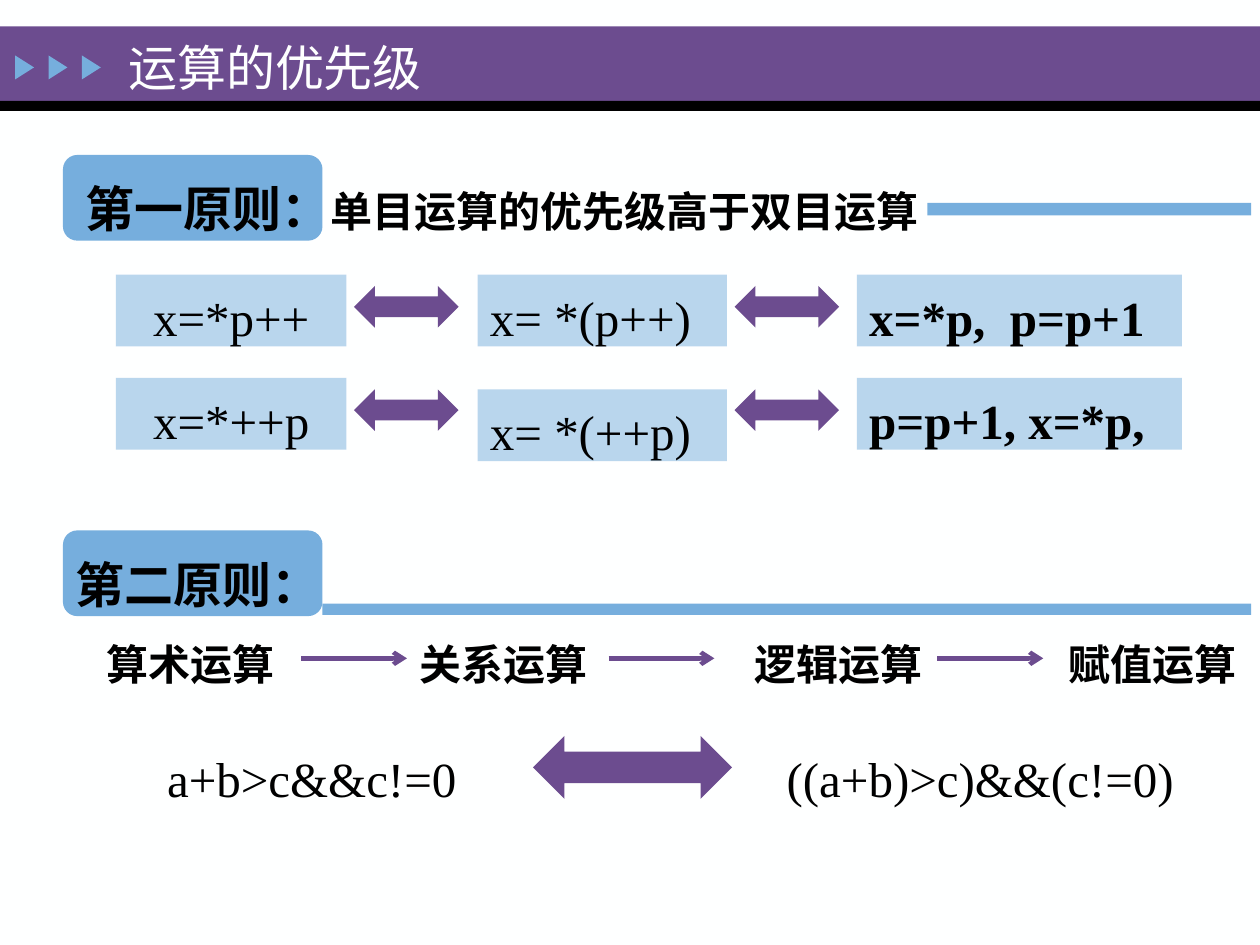
from lxml.etree import SubElement
from pptx import Presentation
from pptx.dml.color import RGBColor
from pptx.enum.lang import MSO_LANGUAGE_ID as LANG
from pptx.enum.shapes import MSO_CONNECTOR as LINE, MSO_SHAPE as KIND
from pptx.enum.text import MSO_ANCHOR as ANCHOR, PP_ALIGN as ALIGN
from pptx.oxml.ns import qn
from pptx.util import Inches, Pt

# The slide is a grid of 100 columns by 75 rows of square cells.
COLS, ROWS = 100, 75
CELL = Inches(0.1)
PURPLE, BLUE, BLACK, WHITE = "6C4C8F", "76AEDD", "000000", "FEFFFF"


def color(code):
    return RGBColor.from_string(code)


def span(*cells):
    return [round(n * CELL) for n in cells]


def shape(slide, kind, box, fill, alpha=None):
    item = slide.shapes.add_shape(kind, *span(*box))
    item.shadow.inherit = False
    item.line.fill.background()
    item.fill.solid()
    item.fill.fore_color.rgb = color(fill)
    if alpha:
        tint = item.fill._xPr.find(qn("a:solidFill"))[0]
        SubElement(tint, qn("a:alpha"), val=str(alpha * 1000))
    return item


def write(item, *runs, size=28, bold=False, ink=BLACK, align=ALIGN.LEFT,
          anchor=ANCHOR.TOP, wrap=True, top=0.1):
    """Fill a shape with one paragraph; a run is a text or (text, size)."""
    frame = item.text_frame
    frame.word_wrap = wrap
    frame.vertical_anchor = anchor
    frame.margin_left = frame.margin_right = Inches(0.1)
    frame.margin_top, frame.margin_bottom = Inches(top), 0
    para = frame.paragraphs[0]
    para.alignment = align
    for part in runs:
        text, points = (part, size) if isinstance(part, str) else part
        run = para.add_run()
        run.text = text
        font = run.font
        font.name, font.size, font.bold = "Times New Roman", Pt(points), bold
        font.color.rgb = color(ink)
        font.language_id = LANG.SIMPLIFIED_CHINESE
    return item


def label(slide, box, *runs, **style):
    return write(slide.shapes.add_textbox(*span(*box)), *runs, **style)


def arrow(slide, start, end, y):
    link = slide.shapes.add_connector(LINE.STRAIGHT, *span(start, y, end, y))
    link.line.color.rgb = color(PURPLE)
    link.line.width = Pt(2.5)
    SubElement(link.line._get_or_add_ln(), qn("a:tailEnd"), type="arrow")
    SubElement(link._element.spPr, qn("a:effectLst"))
    return link


def banner(slide, x, y, w, h, title):
    shape(slide, KIND.RECTANGLE, (x, y, w, h), PURPLE)
    shape(slide, KIND.RECTANGLE, (x, y + h, w, 0.8), BLACK)
    for i in range(3):
        mark = shape(slide, KIND.ISOSCELES_TRIANGLE,
                     (x + 1 + 2.65 * i, y + 2.5, 1.9, 1.5), BLUE)
        mark.rotation = 90
    label(slide, (x + 9.2, y + 0.7, 70, 5), title, ink=WHITE,
          anchor=ANCHOR.MIDDLE, top=0)


def heading(slide, x, y, w, h, *runs, shift=0, rule):
    """Draw a tab with its text; rule is the bar's left, top and height."""
    shape(slide, KIND.ROUNDED_RECTANGLE, (x, y, 20.6, h), BLUE)
    label(slide, (x + shift, y + 0.9, w - 25, 5.7), *runs, bold=True, wrap=False)
    left, top, thick = rule
    shape(slide, KIND.RECTANGLE, (x + left, y + top, w - left, thick), BLUE)


def rewrite(slide, x, y, h, texts, drop=0):
    """Draw three equal expressions; drop lowers the middle one."""
    cells = ((0, 18.3, 0, ALIGN.CENTER, False),
             (28.7, 19.8, drop, ALIGN.LEFT, False),
             (58.8, 25.8, 0, ALIGN.LEFT, True))
    for text, (left, w, down, align, bold) in zip(texts, cells):
        cell = shape(slide, KIND.RECTANGLE, (x + left, y + down, w, h), BLUE, 50)
        write(cell, text, align=align, bold=bold)
    for left in (18.9, 49.1):
        shape(slide, KIND.LEFT_RIGHT_ARROW, (x + left, y + 0.9, 8.3, 3.3), PURPLE)


def chain(slide, x, y, h, steps):
    """Draw the order of operators from (text, left) pairs."""
    w, mid = 15.5, y + h / 2
    boxes = [label(slide, (x + left, y, w, h), text, size=24, bold=True,
                   wrap=False) for text, left in steps]
    first = arrow(slide, x + 16.4, x + 24.8, mid)
    first.end_connect(boxes[1], 1)
    arrow(slide, x + 40.8, x + 49.2, mid)
    last = arrow(slide, x + 66.9, x + 75.3, mid)
    last.begin_connect(boxes[2], 3)


def example(slide, x, y, h, plain, full):
    label(slide, (x, y, 31.7, h), plain, align=ALIGN.CENTER)
    label(slide, (x + 50.9, y, 36, h), full, align=ALIGN.CENTER)
    shape(slide, KIND.LEFT_RIGHT_ARROW, (x + 33.4, y, 15.8, 5), PURPLE)


def main():
    deck = Presentation()
    deck.slide_width, deck.slide_height = span(COLS, ROWS)
    slide = deck.slides.add_slide(deck.slide_layouts[6])
    slide.background.fill.solid()
    slide.background.fill.fore_color.rgb = color(WHITE)

    banner(slide, 0, 2.1, COLS, 5.9, "运算的优先级")
    heading(slide, 5, 12.3, 94.3, 6.8, "第一原则：",
            ("单目运算的优先级高于双目运算", 24), shift=0.8, rule=(68.6, 3.8, 1))
    rewrite(slide, 9.2, 21.8, 5.7, ("x=*p++", "x= *(p++)", "x=*p,  p=p+1"))
    rewrite(slide, 9.2, 30, 5.7, ("x=*++p", "x= *(++p)", "p=p+1, x=*p,"), drop=0.9)
    heading(slide, 5, 42.1, 94.3, 6.8, "第二原则：", rule=(20.6, 5.8, 0.9))
    chain(slide, 7.5, 49.7, 5.1, (("算术运算", 0), ("关系运算", 24.8),
                                  ("逻辑运算", 51.4), ("赋值运算", 76.3)))
    example(slide, 8.9, 58.4, 5.7, "a+b>c&&c!=0", "((a+b)>c)&&(c!=0)")
    deck.save("out.pptx")


if __name__ == "__main__":
    main()
